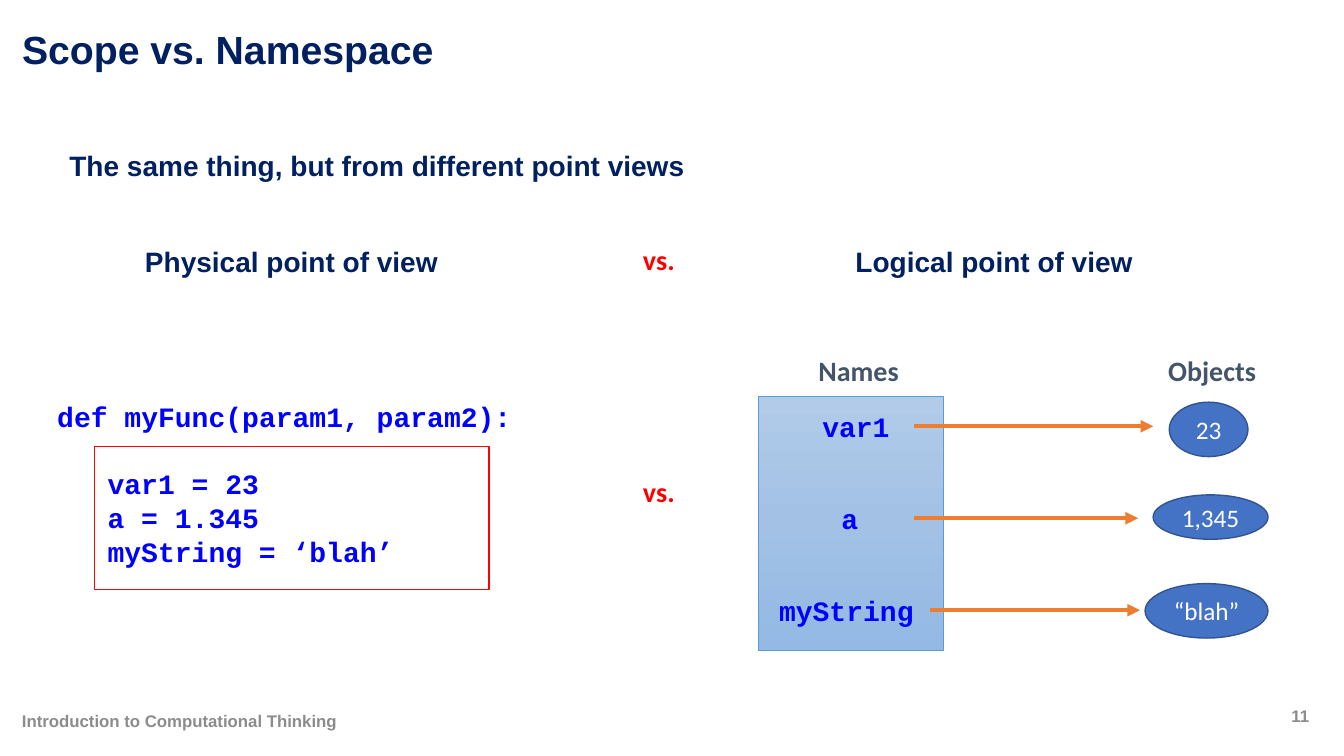
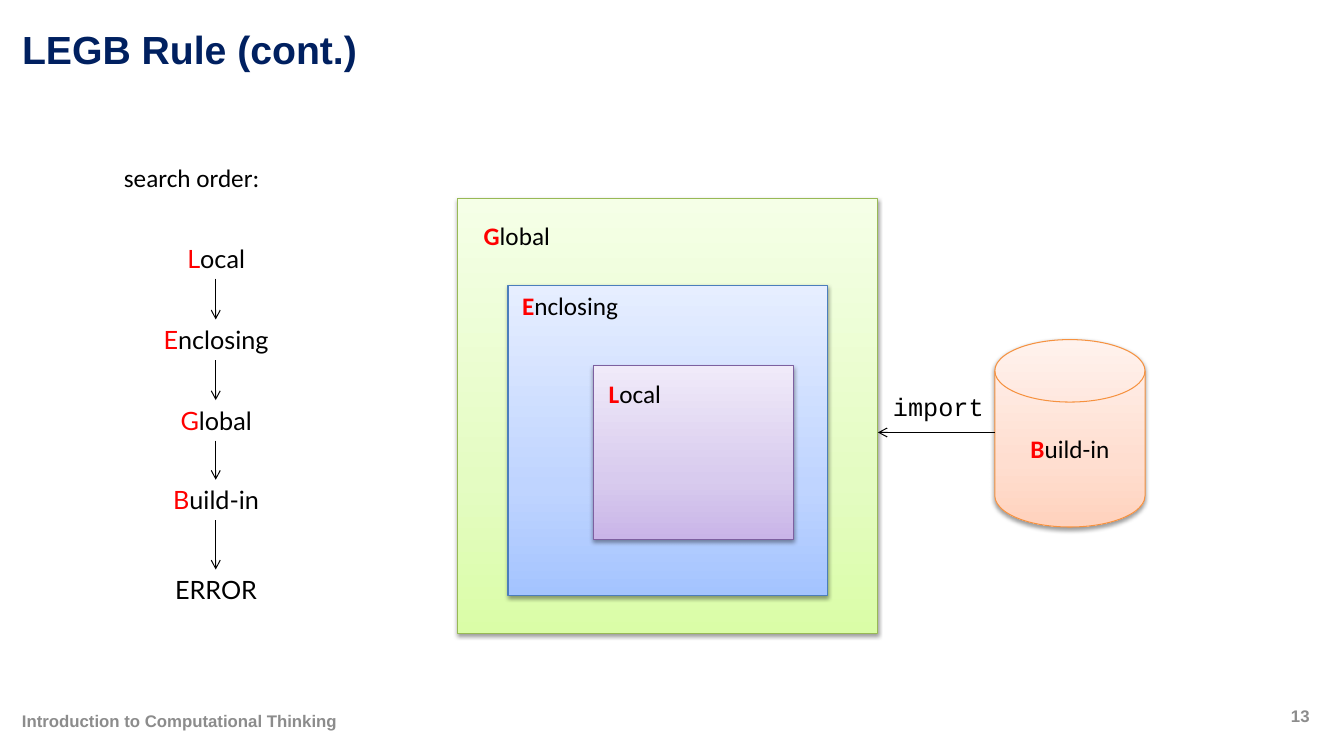
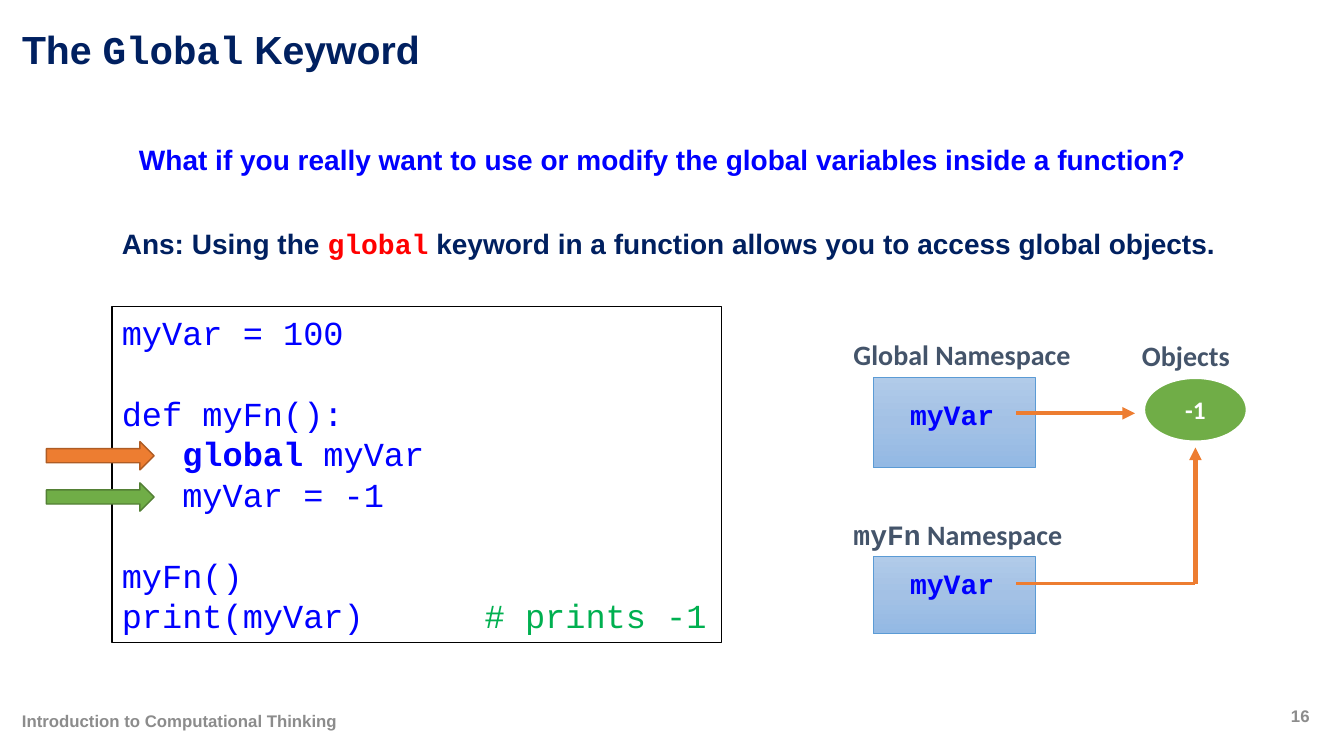
from pptx import Presentation
from pptx.util import Pt
from pptx.dml.color import RGBColor
from pptx.enum.shapes import MSO_CONNECTOR, MSO_SHAPE
from pptx.enum.text import MSO_ANCHOR, MSO_AUTO_SIZE, PP_ALIGN
from pptx.oxml.ns import qn
from lxml.etree import SubElement
from copy import deepcopy

NAVY = RGBColor(0x00, 0x20, 0x60)
GRAY = RGBColor(0x8C, 0x8C, 0x8C)
SLATE = RGBColor(0x44, 0x54, 0x6A)
BLUE = RGBColor(0x00, 0x00, 0xFF)
RED = RGBColor(0xFF, 0x00, 0x00)
BLACK = RGBColor(0x00, 0x00, 0x00)
WHITE = RGBColor(0xFF, 0xFF, 0xFF)
LEAF = RGBColor(0x00, 0xB0, 0x50)
ORANGE = RGBColor(0xED, 0x7D, 0x31)
RUST = RGBColor(0xAF, 0x5C, 0x24)
GREEN = RGBColor(0x70, 0xAD, 0x47)
MOSS = RGBColor(0x53, 0x80, 0x35)
ROYAL = RGBColor(0x44, 0x72, 0xC4)
DEEP = RGBColor(0x32, 0x54, 0x91)
SKY = RGBColor(0x5B, 0x9B, 0xD5)
OLIVE = RGBColor(0x98, 0xB9, 0x55)
STEEL = RGBColor(0x4B, 0x7E, 0xBC)
PLUM = RGBColor(0x7D, 0x60, 0xA0)
AMBER = RGBColor(0xF6, 0x92, 0x40)

# Fades run from top to bottom: (position, colour)
SPACE = [(0, RGBColor(0xB1, 0xCB, 0xE9)), (0.5, RGBColor(0xA3, 0xC1, 0xE5)),
         (1, RGBColor(0x93, 0xB9, 0xE4))]
LIME = [(0, RGBColor(0xF5, 0xFF, 0xE7)), (0.65, RGBColor(0xE4, 0xFC, 0xC2)),
        (1, RGBColor(0xDA, 0xFD, 0xA7))]
ICE = [(0, RGBColor(0xE6, 0xEE, 0xFF)), (0.65, RGBColor(0xBF, 0xD4, 0xFF)),
       (1, RGBColor(0xA4, 0xC4, 0xFF))]
LILAC = [(0, RGBColor(0xF0, 0xEA, 0xF9)), (0.65, RGBColor(0xD8, 0xCB, 0xEE)),
         (1, RGBColor(0xC9, 0xB5, 0xE8))]
PEACH = [(0, RGBColor(0xFF, 0xF2, 0xED)), (0.65, RGBColor(0xFF, 0xDE, 0xD0)),
         (1, RGBColor(0xFF, 0xD2, 0xBD))]

SANS, BODY, MONO, ROUND = "Arial", "Calibri", "Courier New", "Lato"
MID, CENTER = MSO_ANCHOR.MIDDLE, PP_ALIGN.CENTER
RECT, OVAL = MSO_SHAPE.RECTANGLE, MSO_SHAPE.OVAL
PITCH = 1.205  # line height of code, in ems
CHAR = 0.6     # width of a code letter, in ems


def put(slide, at, *lines, kind=None, fill=None, line=None, weight=1,
        shadow=False, anchor=MSO_ANCHOR.TOP, align=PP_ALIGN.LEFT, font=BODY,
        size=20, color=NAVY, bold=False, lead=None, dents=(), gaps=()):
    """Place text, bare or in a shape; a line is a string or (text, format) runs.

    dents gives indents in code letters by line, gaps the lines after a skip.
    """
    if kind == "title":
        shape = slide.shapes.title
        shape.left, shape.top, shape.width, shape.height = map(Pt, at)
    elif kind is None:
        shape = slide.shapes.add_textbox(*map(Pt, at))
    else:
        shape = slide.shapes.add_shape(kind, *map(Pt, at))
        shape.shadow.inherit = False
        if shadow:
            glow = SubElement(shape._element.spPr.find(qn("a:effectLst")),
                              qn("a:outerShdw"), blurRad=str(Pt(3.1)),
                              dist=str(Pt(1.6)), dir="5400000", rotWithShape="0")
            tint = SubElement(glow, qn("a:srgbClr"), val="000000")
            SubElement(tint, qn("a:alpha"), val="38000")
        if isinstance(fill, list):
            shape.fill.gradient()
            shape.fill.gradient_angle = 270
            stops = shape._element.spPr.find(qn("a:gradFill")).find(qn("a:gsLst"))
            stops.append(deepcopy(stops[-1]))
            for stop, (place, tone) in zip(shape.fill.gradient_stops, fill):
                stop.position = place
                stop.color.rgb = tone
        elif fill is None:
            shape.fill.background()
        else:
            shape.fill.solid()
            shape.fill.fore_color.rgb = fill
        shape.line.color.rgb = line
        shape.line.width = Pt(weight)
    frame = shape.text_frame
    frame.auto_size = MSO_AUTO_SIZE.NONE
    frame.word_wrap = kind != OVAL
    frame.vertical_anchor = anchor
    for i, runs in enumerate(lines):
        para = frame.add_paragraph() if i else frame.paragraphs[0]
        para.alignment = align
        if font == MONO:
            para.line_spacing = Pt(size * PITCH)
        elif lead:
            para.line_spacing = lead
        if i in gaps:
            para.space_before = Pt(size * PITCH)
        if i < len(dents) and dents[i]:
            para._p.get_or_add_pPr().set("marL", str(Pt(dents[i] * CHAR * size)))
        for words, look in [(runs, {})] if isinstance(runs, str) else runs:
            run = para.add_run()
            run.text = words
            run.font.size = Pt(size)
            run.font.name = look.get("font", font)
            run.font.bold = look.get("bold", bold)
            run.font.color.rgb = look.get("color", color)
    return shape


def join(slide, start, end, color=ORANGE, weight=3, head="triangle"):
    """Draw a straight line, with an arrowhead at its end if head is given."""
    link = slide.shapes.add_connector(
        MSO_CONNECTOR.STRAIGHT, *map(Pt, (*start, *end)))
    link.line.color.rgb = color
    link.line.width = Pt(weight)
    props = link._element.spPr
    if head:
        SubElement(props.find(qn("a:ln")), qn("a:tailEnd"), type=head)
    SubElement(props, qn("a:effectLst"))


deck = Presentation()
deck.slide_width, deck.slide_height = Pt(960), Pt(540)

# Shared title, footer and page number
HEAD = dict(font=SANS, bold=True)
FOOT = dict(HEAD, size=12, color=GRAY, anchor=MID)
CODE = dict(font=MONO, color=BLUE, bold=True)
NOTE = dict(color=SLATE, bold=True)
pages = []
for page, title in [
        (11, "Scope vs. Namespace"),
        (13, "LEGB Rule (cont.)"),
        (16, [("The ", {}), ("Global", {"font": MONO}), (" Keyword", {})])]:
    slide = deck.slides.add_slide(deck.slide_layouts[5])
    put(slide, (8.6, 12.2, 914.4, 49), title, kind="title", size=28,
        anchor=MID, lead=0.9, **HEAD)
    put(slide, (8.6, 500.4, 593, 28.8), "Introduction to Computational Thinking",
        **FOOT)
    put(slide, (911.5, 496.8, 34.6, 28.8), str(page), align=CENTER, **FOOT)
    pages.append(slide)
scope, legb, keyword = pages

# Scope vs. Namespace
put(scope, (42.5, 102.2, 863, 31.7),
    "The same thing, but from different point views", **HEAD)
put(scope, (96.5, 171, 225, 31.7), "Physical point of view", **HEAD)
put(scope, (604, 171, 225, 31.7), "Logical point of view", **HEAD)
for top in (170, 335.5):
    put(scope, (452.2, top, 50, 31.7), "vs.", color=RED, bold=True)

put(scope, (33.8, 281.5, 362, 128), "def myFunc(param1, param2):", "var1 = 23",
    "a = 1.345", "myString = ‘blah’", dents=(0, 3, 3, 3), gaps=(1,), **CODE)
put(scope, (67.7, 319, 281.5, 102.2), kind=RECT, line=RED)

put(scope, (577.5, 249, 90, 31.7), "Names", **NOTE)
put(scope, (827.3, 249, 90, 31.7), "Objects", **NOTE)
put(scope, (541.4, 283, 132.5, 181.4), kind=RECT, fill=SPACE, line=SKY, weight=0.5)
for row, (name, left, value, oval, tail, tip) in enumerate([
        ("var1", 580.3, "23", (835.2, 287.3, 56.2, 38.9), 653, 823.7),
        ("a", 594, "1,345", (823.7, 353.5, 82.1, 31.7), 653, 812.9),
        ("myString", 549.4, "“blah”", (817.9, 416.9, 87.8, 38.9), 664.6, 814.3)]):
    drop = row * 65.7
    put(scope, (left, 288.7 + drop, 124, 31.7), name, **CODE)
    put(scope, oval, value, kind=OVAL, fill=ROYAL, line=DEEP, size=18,
        color=WHITE, align=CENTER, anchor=MID)
    join(scope, (tail, 304.5 + drop), (tip, 304.5 + drop))

# LEGB Rule
THIN = dict(color=BLACK, weight=0.75, head="arrow")
TEXT = dict(size=18, color=BLACK)
put(legb, (81.4, 112.3, 126, 28.8), "search order:", **TEXT)
steps = ["Local", "Enclosing", "Global", "Build-in", "ERROR"]
tops = [170, 228.2, 285.8, 342.7, 406.8]
for word, top in zip(steps, tops):
    first = BLACK if word == "ERROR" else RED
    put(legb, (94.3, top, 120.2, 28.8), [(word[0], {"color": first}), (word[1:], {})],
        font=ROUND, align=CENTER, **TEXT)
for top, below in zip(tops, tops[1:]):
    join(legb, (154.1, top + 29), (154.1, below), **THIN)

initial = {"color": RED, "bold": True}
for word, at, fill, line, spot in [
        ("Global", (326.9, 141.8, 300.2, 311), LIME, OLIVE, (338.4, 154.1)),
        ("Enclosing", (362.9, 203.8, 228.2, 221.8), ICE, STEEL, (365.8, 203.8)),
        ("Local", (424.1, 261.4, 142.6, 123.8), LILAC, PLUM, (427.7, 266.4))]:
    put(legb, at, kind=RECT, fill=fill, line=line, weight=0.75, shadow=True)
    put(legb, (*spot, 90, 28.8), [(word[0], initial), (word[1:], {})], **TEXT)
put(legb, (710.6, 242.6, 107.3, 133.9), [("B", initial), ("uild-in", {})],
    kind=MSO_SHAPE.FLOWCHART_MAGNETIC_DISK, fill=PEACH, line=AMBER, weight=0.75,
    shadow=True, align=CENTER, anchor=MID, **TEXT)
join(legb, (710.6, 308.9), (627.1, 308.9), **THIN)
put(legb, (630.7, 275.8, 95, 28.8), "import", font=MONO, **TEXT)

# The Global Keyword
put(keyword, (92.2, 97.9, 820, 31.7), "What if you really want to use or modify "
    "the global variables inside a function?", font=SANS, color=BLUE, bold=True)
put(keyword, (79.9, 158.4, 830, 31.7),
    [("Ans: Using the ", {}), ("global", {"font": MONO, "color": RED}),
     (" keyword in a function allows you to access global objects.", {})], **HEAD)
code = put(
    keyword, (79.9, 219, 435.6, 239.8), "myVar = 100", "def myFn():",
    [("global ", {"bold": True}), ("myVar", {})], "myVar = -1", "myFn()",
    [("print(myVar)\t", {}), ("# prints -1", {"color": LEAF})],
    kind=RECT, fill=WHITE, line=BLACK, font=MONO, size=24, color=BLUE,
    dents=(0, 0, 3, 3), gaps=(1, 4))
last = code.text_frame.paragraphs[-1]._p.get_or_add_pPr()
SubElement(SubElement(last, qn("a:tabLst")), qn("a:tab"),
           pos=str(Pt(18 * CHAR * 24)), algn="l")
for top, fill, line in [(315.4, ORANGE, RUST), (344.9, GREEN, MOSS)]:
    put(keyword, (33.1, top, 77, 20.2), kind=MSO_SHAPE.RIGHT_ARROW,
        fill=fill, line=line)

for head, top, box, height, name in [
        ("Global", 237.6, 269.3, 64.8, 280.1),
        ([("myFn", {"font": MONO})], 365.8, 397.4, 55.4, 401)]:
    runs = [(head, {})] if isinstance(head, str) else head
    put(keyword, (602.6, top, 185, 31.7), runs + [(" Namespace", {})], **NOTE)
    put(keyword, (623.5, box, 115.9, height), kind=RECT, fill=SPACE, line=SKY,
        weight=0.5)
    put(keyword, (643, name, 92.9, 31.7), "myVar", **CODE)
put(keyword, (808.6, 238.3, 90, 31.7), "Objects", **NOTE)
put(keyword, (817.2, 270, 73.4, 45.4), "-1", kind=OVAL, fill=GREEN, line=WHITE,
    weight=1.5, size=18, color=WHITE, bold=True, align=CENTER, anchor=MID)
join(keyword, (725.8, 295.2), (810.7, 295.2))
join(keyword, (725.8, 416.9), (853.9, 416.9), weight=2.25, head=None)
join(keyword, (853.9, 416.9), (853.9, 319.7))

deck.save("out.pptx")
